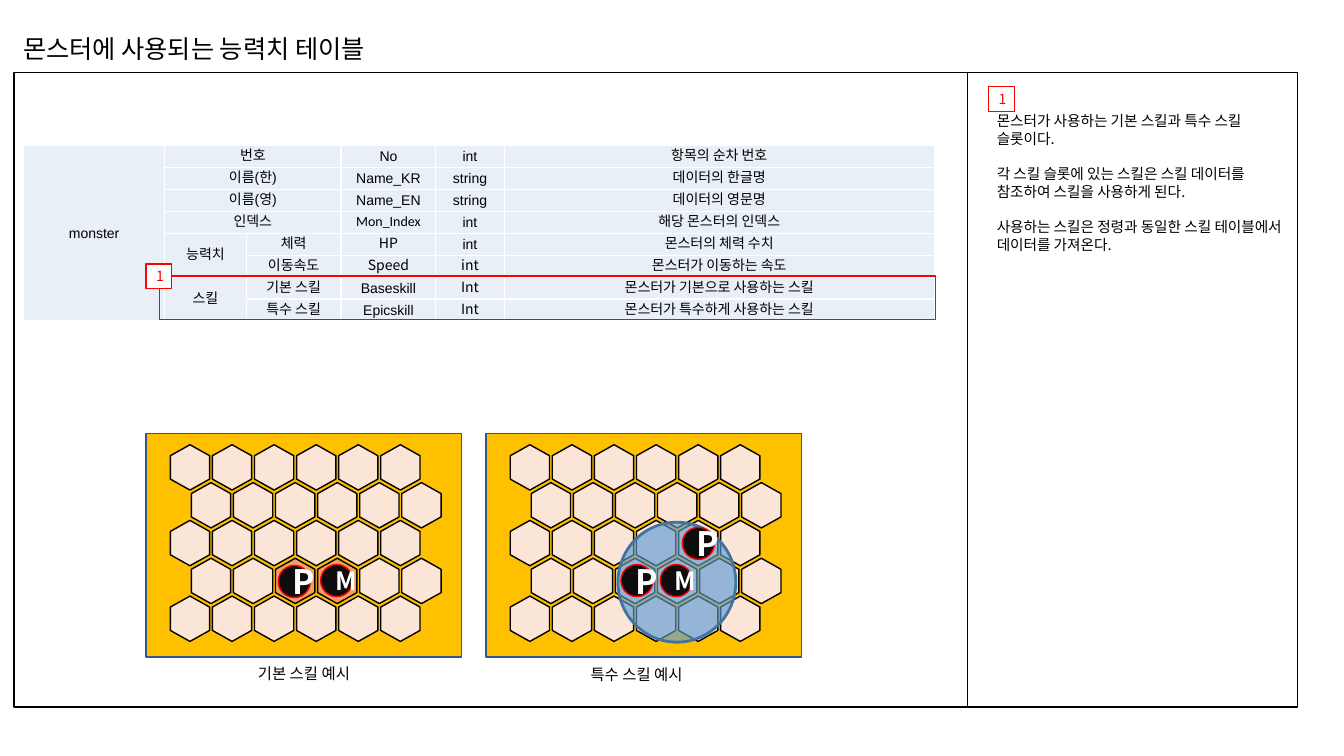
from lxml import etree
from pptx import Presentation
from pptx.dml.color import RGBColor
from pptx.enum import shapes, text
from pptx.oxml import ns
from pptx.util import Pt

BLACK = RGBColor(0, 0, 0)
WHITE = RGBColor(255, 255, 255)
RED = RGBColor(255, 0, 0)
CELL = RGBColor(0xE9, 0xEF, 0xF7)
GOLD = RGBColor(0xFF, 0xC0, 0x00)
NAVY = RGBColor(0x32, 0x54, 0x91)
PEACH = RGBColor(0xFB, 0xE5, 0xD6)
ORANGE = RGBColor(0xF1, 0xA0, 0x69)
INK = RGBColor(0x0D, 0x0D, 0x0D)
SKY = RGBColor(0x5B, 0x9B, 0xD5)
STEEL = RGBColor(0x43, 0x73, 0x9E)

FONTS = {"A": "Arial", "N": "Noto Sans CJK KR", "C": "Calibri"}
TITLE = "몬스터에 사용되는 능력치 테이블"
NOTES = [
    "몬스터가 사용하는 기본 스킬과 특수 스킬 슬롯이다.",
    "각 스킬 슬롯에 있는 스킬은 스킬 데이터를 참조하여 스킬을 사용하게 된다.",
    "사용하는 스킬은 정령과 동일한 스킬 테이블에서 데이터를 가져온다.",
]
STATS = [
    ("AAAAAA", "monster", "번호", "", "No", "int", "항목의 순차 번호"),
    ("AAAAAA", "", "이름(한)", "", "Name_KR", "string", "데이터의 한글명"),
    ("AAAAAA", "", "이름(영)", "", "Name_EN", "string", "데이터의 영문명"),
    ("ANNCAA", "", "인덱스", "", "Mon_Index", "int", "해당 몬스터의 인덱스"),
    ("AANNAA", "", "능력치", "체력", "HP", "int", "몬스터의 체력 수치"),
    ("AANNNN", "", "", "이동속도", "Speed", "int", "몬스터가 이동하는 속도"),
    ("AANANN", "", "스킬", "기본 스킬", "Baseskill", "Int", "몬스터가 기본으로 사용하는 스킬"),
    ("AANANN", "", "", "특수 스킬", "Epicskill", "Int", "몬스터가 특수하게 사용하는 스킬"),
]
MERGES = [((0, 0), (7, 0)), ((4, 1), (5, 1)), ((6, 1), (7, 1))]
MERGES += [((row, 1), (row, 2)) for row in range(4)]
COLUMN_WIDTHS = [100.8, 58.3, 67.7, 67.7, 48.9, 307.1]
ROW_HEIGHT = 15.66

BOARDS = [
    {"left": 104.4, "targets": [(3, 2), (3, 3)], "area": None,
     "tokens": [("M", 229, 403.2), ("P", 198.7, 403.9)],
     "caption": ("기본 스킬 예시", 177.1, 470.9)},
    {"left": 347.2, "targets": [], "area": (441.4, 373, 84.2, 85.7),
     "tokens": [("P", 443.5, 403.2), ("P", 487.4, 376.6), ("M", 471.6, 403.2)],
     "caption": ("특수 스킬 예시", 414.7, 471.6)},
]
BOARD_TOP, BOARD_WIDTH, BOARD_HEIGHT = 309.6, 225.4, 159.8
HEX_ROWS, HEX_COLUMNS = 5, 6
HEX_WIDTH, HEX_HEIGHT = 32.4, 28.1
HEX_STEP_X, HEX_STEP_Y = 30.06, 27.03
TOKEN_SIZE = 23
TOKEN_FONT_SIZES = {"P": 24, "M": 18}

deck = Presentation()
deck.slide_width, deck.slide_height = Pt(960), Pt(540)
slide = deck.slides.add_slide(deck.slide_layouts[6])


def style(paragraph, size, color=BLACK, font="N", bold=None, centered=False):
    paragraph.line_spacing = Pt(round(size * 1.2, 1))
    if centered:
        paragraph.alignment = text.PP_ALIGN.CENTER
    paragraph.font.size = Pt(size)
    paragraph.font.bold = bold
    paragraph.font.color.rgb = color
    paragraph.font.name = FONTS[font]
    defaults = paragraph._p.get_or_add_pPr().get_or_add_defRPr()
    etree.SubElement(defaults, ns.qn("a:ea"), typeface=FONTS["N"])


def add_text(lines, left, top, width, height, size, gap=0):
    frame = slide.shapes.add_textbox(Pt(left), Pt(top), Pt(width), Pt(height)).text_frame
    frame.word_wrap = True
    frame.text = "\n".join(lines)
    for paragraph in frame.paragraphs:
        style(paragraph, size)
        paragraph.space_after = Pt(gap)


def add_figure(kind, left, top, width, height, fill, line, line_width=1):
    figure = slide.shapes.add_shape(kind, Pt(left), Pt(top), Pt(width), Pt(height))
    figure.shadow.inherit = False
    if fill is None:
        figure.fill.background()
    else:
        figure.fill.solid()
        figure.fill.fore_color.rgb = fill
    figure.line.color.rgb = line
    figure.line.width = Pt(line_width)
    return figure


def add_label(figure, label, size, color, bold=None):
    frame = figure.text_frame
    frame.vertical_anchor = text.MSO_ANCHOR.MIDDLE
    frame.text = label
    style(frame.paragraphs[0], size, color, bold=bold, centered=True)


def add_badge(left, top):
    badge = add_figure(RECT, left, top, 18.3, 17.6, WHITE, RED)
    add_label(badge, "1", 10, RED)


def add_borders(cell):
    properties = cell._tc.get_or_add_tcPr()
    for side in ("lnL", "lnR", "lnT", "lnB"):
        border = etree.SubElement(properties, ns.qn("a:" + side), w=str(Pt(1)))
        fill = etree.SubElement(border, ns.qn("a:solidFill"))
        etree.SubElement(fill, ns.qn("a:srgbClr"), val=str(WHITE))


def add_stats(left, top):
    table = slide.shapes.add_table(
        len(STATS), len(COLUMN_WIDTHS), Pt(left), Pt(top),
        Pt(sum(COLUMN_WIDTHS)), Pt(ROW_HEIGHT * len(STATS))).table
    table.first_row = table.horz_banding = False
    for column, width in zip(table.columns, COLUMN_WIDTHS):
        column.width = Pt(width)
    for start, end in MERGES:
        table.cell(*start).merge(table.cell(*end))
    for row, (fonts, *values) in enumerate(STATS):
        table.rows[row].height = Pt(ROW_HEIGHT)
        for column, (font, value) in enumerate(zip(fonts, values)):
            cell = table.cell(row, column)
            cell.margin_left = cell.margin_right = cell.margin_top = cell.margin_bottom = 0
            cell.vertical_anchor = text.MSO_ANCHOR.MIDDLE
            add_borders(cell)
            cell.fill.solid()
            cell.fill.fore_color.rgb = CELL
            cell.text = value
            style(cell.text_frame.paragraphs[0], 10, font=font, centered=True)


def add_board(left, targets, area, tokens, caption):
    add_figure(RECT, left, BOARD_TOP, BOARD_WIDTH, BOARD_HEIGHT, GOLD, NAVY)
    for row in range(HEX_ROWS):
        for column in range(HEX_COLUMNS):
            tile = add_figure(
                shapes.MSO_SHAPE.HEXAGON,
                left + 15.1 + (column + row % 2 / 2) * HEX_STEP_X,
                BOARD_TOP + 10.2 + row * HEX_STEP_Y,
                HEX_WIDTH, HEX_HEIGHT,
                ORANGE if (row, column) in targets else PEACH, BLACK)
            tile.rotation = 270
            tile.adjustments[0] = 0.28
    if area:
        skill_area = add_figure(OVAL, *area, SKY, STEEL, 2)
        color = skill_area.fill._xPr.find(".//" + ns.qn("a:srgbClr"))
        etree.SubElement(color, ns.qn("a:alpha"), val="64000")
    for letter, x, y in tokens:
        token = add_figure(OVAL, x, y, TOKEN_SIZE, TOKEN_SIZE, INK, RED)
        add_label(token, letter, TOKEN_FONT_SIZES[letter], WHITE, bold=True)
    label, x, y = caption
    add_text([label], x, y, 90, 20.9, 11)


RECT, OVAL = shapes.MSO_SHAPE.RECTANGLE, shapes.MSO_SHAPE.OVAL

add_stats(16.8, 104)
add_text([TITLE], 9.4, 20.2, 480, 28.8, 18)
add_figure(RECT, 10.1, 52, 916.6, 453, None, BLACK)
divider = slide.shapes.add_connector(
    shapes.MSO_CONNECTOR.STRAIGHT, Pt(691.2), Pt(52), Pt(691.2), Pt(505))
divider.line.color.rgb = BLACK
divider.line.width = Pt(0.75)
etree.SubElement(divider._element.spPr, ns.qn("a:effectLst"))
add_badge(706.3, 62)
add_text(NOTES, 704.9, 76.3, 221.8, 108.7, 10.5, gap=12.6)
add_figure(RECT, 113.8, 197.3, 554.4, 31, None, RED)
add_badge(104.4, 188.6)
for board in BOARDS:
    add_board(**board)

deck.save("out.pptx")
